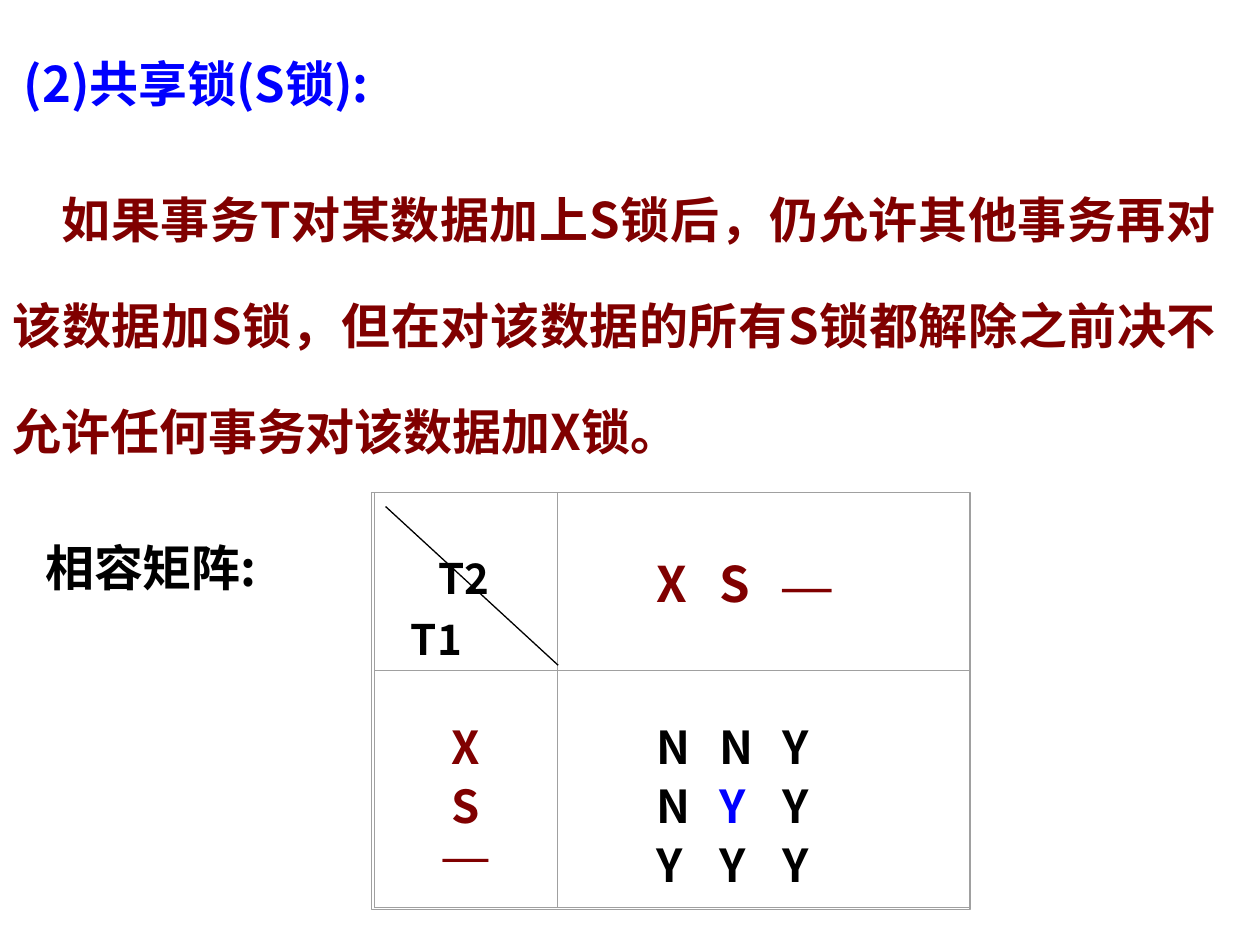
from lxml.etree import SubElement
from pptx import Presentation
from pptx.dml.color import RGBColor
from pptx.enum.shapes import MSO_CONNECTOR as LINK, MSO_SHAPE as SHAPE
from pptx.enum.text import MSO_ANCHOR as ANCHOR, PP_ALIGN as ALIGN
from pptx.oxml import parse_xml
from pptx.oxml.ns import nsdecls, qn
from pptx.util import Inches, Pt

SANS, SERIF = "Noto Sans CJK SC", "Times New Roman"
BLUE, MAROON, BLACK, GREY = "0000FF", "800000", "000000", "A0A0A0"
color = RGBColor.from_string


def write(paragraph, text, size, ink, align=ALIGN.LEFT, indent=0, stops=()):
    """Fill a paragraph; indent and centred tab stops are in inches, dashes are serif."""
    paragraph.alignment = align
    props = paragraph._p.get_or_add_pPr()
    props.set("indent", str(Inches(indent)))
    if stops:
        tabs = SubElement(props, qn("a:tabLst"))
        for stop in stops:
            SubElement(tabs, qn("a:tab"), pos=str(Inches(stop)), algn="ctr")
    font = paragraph.font
    font.size, font.bold, font.name = Pt(size), True, SANS
    font.color.rgb = color(ink)
    SubElement(font._element, qn("a:ea"), typeface=SANS)
    for part in text.partition("—"):
        if part:
            run = paragraph.add_run()
            run.text = part
            if part == "—":
                run.font.name = SERIF


prs = Presentation()
prs.slide_width, prs.slide_height = Inches(10), Inches(7.5)
slide = prs.slides.add_slide(prs.slide_layouts[6])
shapes = slide.shapes

# Definition of the shared lock
definition = shapes.add_textbox(0, 0, Inches(9.75), Inches(5.59)).text_frame
definition.word_wrap = True
sentences = [
    ("(2)共享锁(S锁):", BLUE, 0.09),
    ("如果事务T对某数据加上S锁后，仍允许其他事务再对该数据加S锁，"
     "但在对该数据的所有S锁都解除之前决不允许任何事务对该数据加X锁。", MAROON, 0.39),
    ("相容矩阵:", BLACK, 0.26),
]
for i, (sentence, ink, indent) in enumerate(sentences):
    paragraph = definition.add_paragraph() if i else definition.paragraphs[0]
    paragraph.line_spacing = 1.8
    if i:
        paragraph.space_before = Pt(17.5)
    write(paragraph, sentence, 28, ink, ALIGN.JUSTIFY, indent)

# Compatibility matrix
left, top = 2.97, 3.91
widths, heights = (1.45, 3.27), (1.41, 1.88)
matrix = shapes.add_table(2, 2, Inches(left), Inches(top),
                          Inches(sum(widths)), Inches(sum(heights))).table
matrix.first_row = matrix.horz_banding = False
for i in range(2):
    matrix.columns[i].width = Inches(widths[i])
    matrix.rows[i].height = Inches(heights[i])

grants = (0.27, 0.84, 1.4)
# row, column, top margin, line spacing, size, colour, alignment, tab stops, lines
cells = [
    (0, 0, 0.42, 1, 24, BLACK, ALIGN.LEFT, (), ["T2", "T1"]),
    (0, 1, 0.05, 1, 28, MAROON, ALIGN.LEFT, (0.71, 1.23, 1.89), ["\tX\tS\t—"]),
    (1, 0, 0.37, 0.9, 25.9, MAROON, ALIGN.CENTER, (), ["X", "S", "—"]),
    (1, 1, 0.37, 0.9, 25.9, BLACK, ALIGN.LEFT, grants,
     ["\tN\tN\tY", "\tN\tY\tY", "\tY\tY\tY"]),
]
for row, column, margin, spacing, size, ink, align, stops, lines in cells:
    cell = matrix.cell(row, column)
    cell.fill.background()
    cell.margin_left = cell.margin_right = Inches(0.29)
    cell.margin_top, cell.margin_bottom = Inches(margin), Inches(0.05)
    cell.vertical_anchor = ANCHOR.MIDDLE if len(lines) == 1 else ANCHOR.TOP
    for i, line in enumerate(lines):
        paragraph = cell.text_frame.paragraphs[0] if i == 0 else cell.text_frame.add_paragraph()
        paragraph.line_spacing = spacing
        indent = 0.22 if line == "T2" else 0
        write(paragraph, line, size, ink, align, indent, stops)
    for i, side in enumerate("LRTB"):
        cell._tc.tcPr.insert(i, parse_xml(
            f'<a:ln{side} {nsdecls("a")} w="3175"><a:solidFill><a:srgbClr val="{GREY}"/>'
            f'</a:solidFill></a:ln{side}>'))

# The S/S pair is the one that the shared lock allows
shared = matrix.cell(1, 1).text_frame.paragraphs[1]
shared.clear()
for text, ink in (("\tN\t", BLACK), ("Y", BLUE), ("\tY", BLACK)):
    run = shared.add_run()
    run.text = text
    run.font.color.rgb = color(ink)

frame = shapes.add_shape(SHAPE.RECTANGLE, Inches(2.95), Inches(top), Inches(4.75), Inches(3.31))
frame.shadow.inherit = False
frame.fill.background()
frame.line.color.rgb = color(GREY)
frame.line.width = Pt(0.88)

diagonal = shapes.add_connector(LINK.STRAIGHT, Inches(3.06), Inches(4.02),
                                Inches(4.43), Inches(5.28))
diagonal.line.color.rgb = color(BLACK)
diagonal.line.width = Pt(0.75)
SubElement(diagonal._element.spPr, qn("a:effectLst"))

prs.save("out.pptx")
